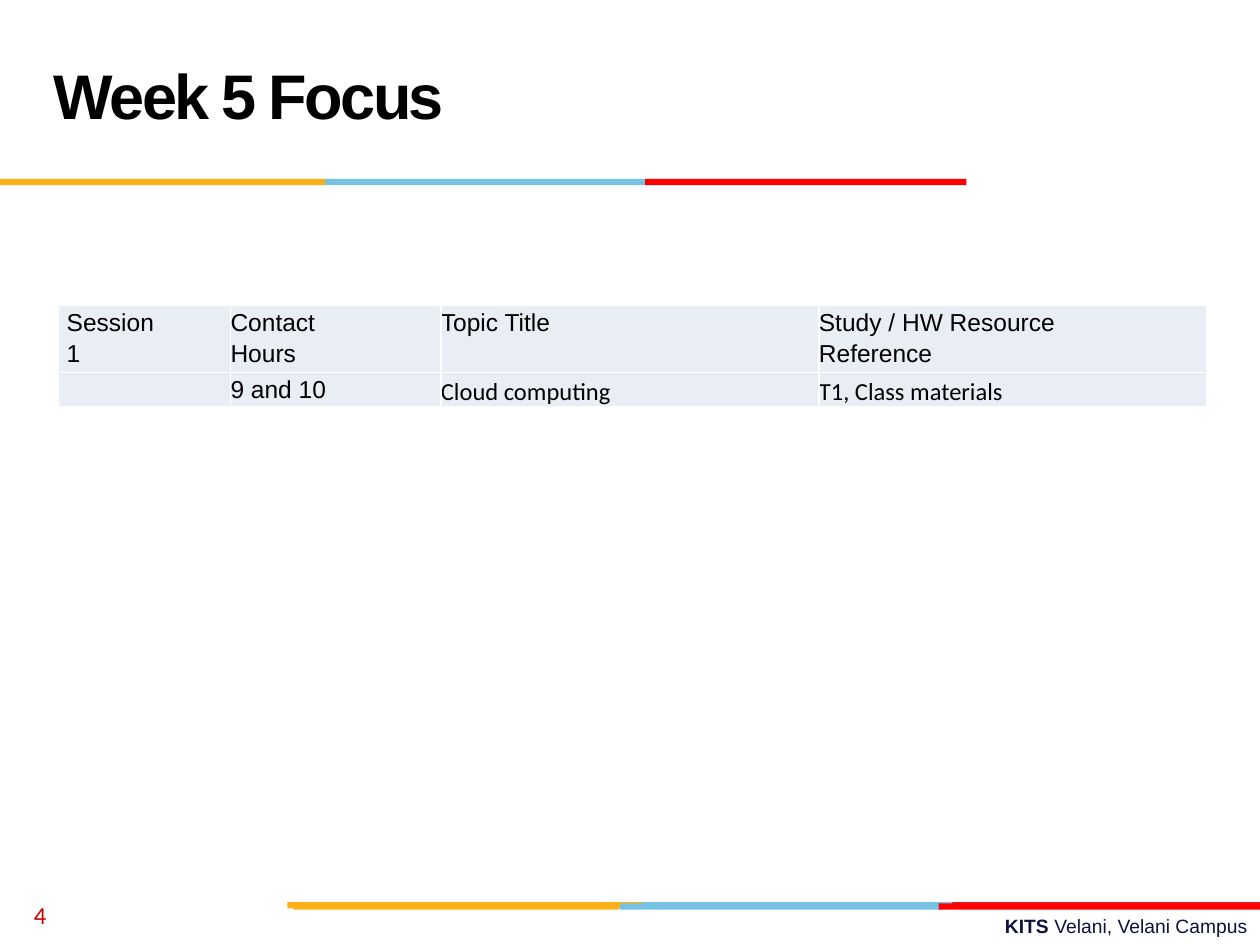
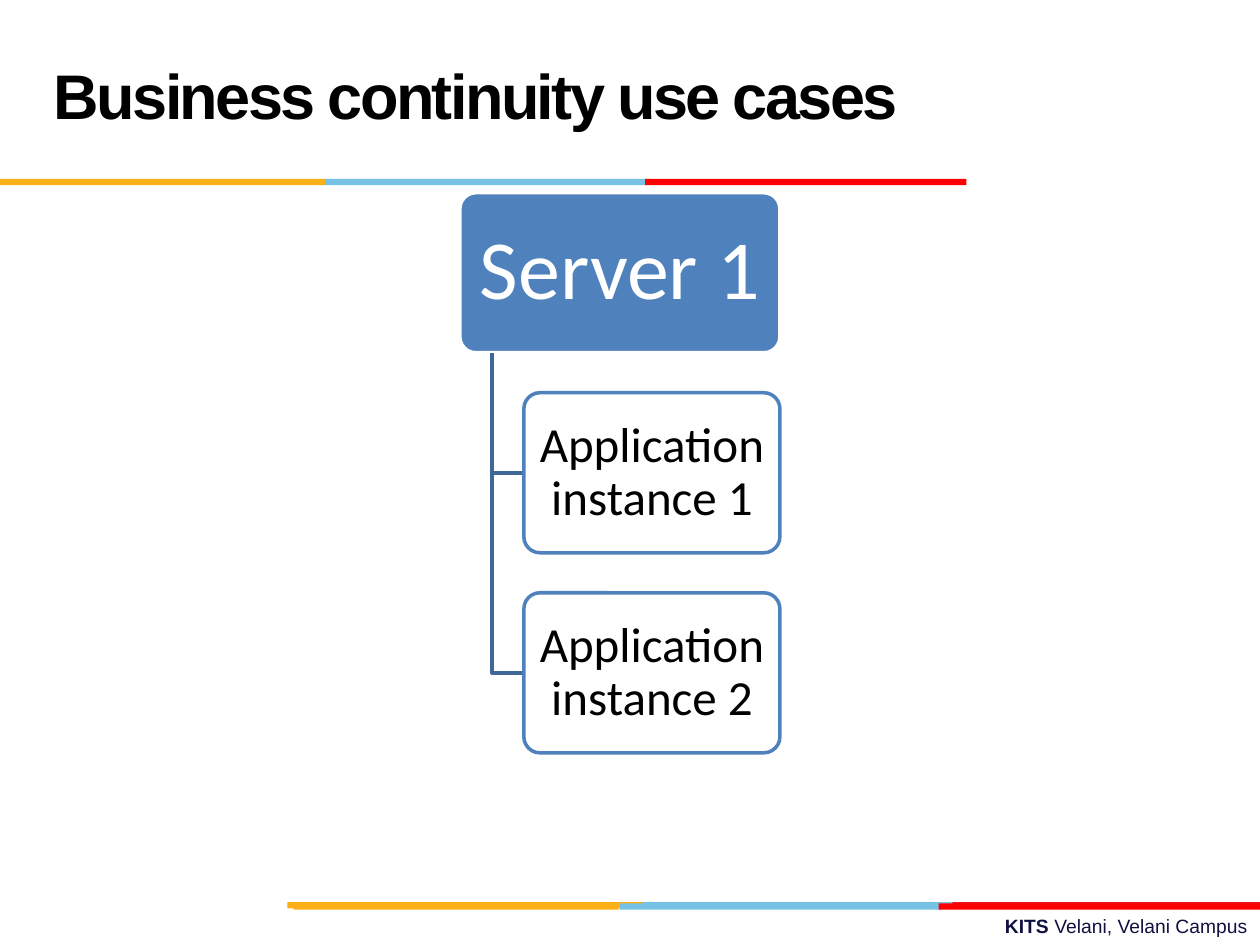
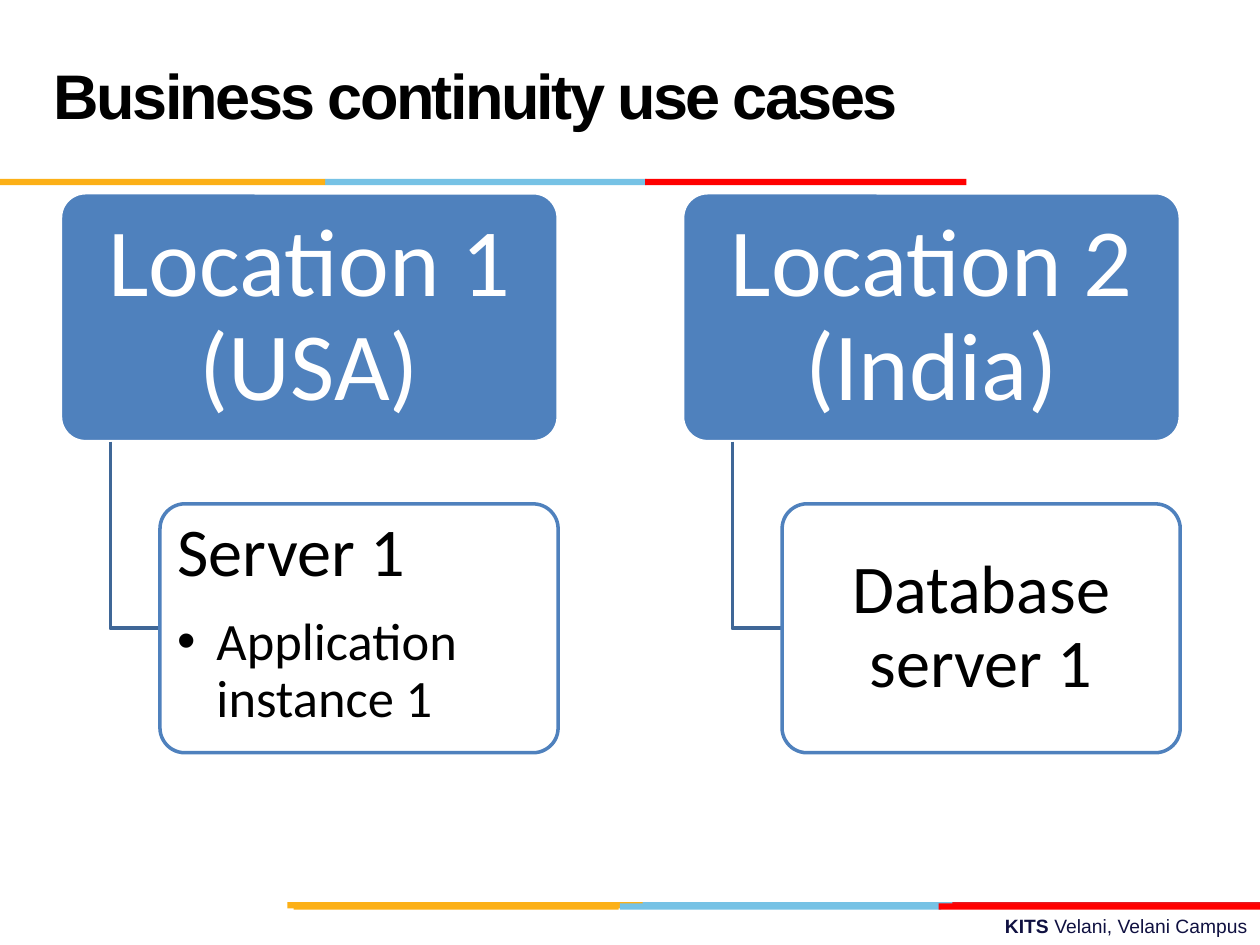
from lxml import etree
from pptx import Presentation
from pptx.dml.color import RGBColor
from pptx.enum.shapes import MSO_SHAPE
from pptx.enum.text import MSO_ANCHOR, PP_ALIGN
from pptx.oxml.ns import qn
from pptx.util import Inches, Pt

RECTANGLE = MSO_SHAPE.RECTANGLE
ROUNDED = MSO_SHAPE.ROUNDED_RECTANGLE
LEFT, CENTER, RIGHT = PP_ALIGN.LEFT, PP_ALIGN.CENTER, PP_ALIGN.RIGHT
TOP, MIDDLE = MSO_ANCHOR.TOP, MSO_ANCHOR.MIDDLE

BLACK = RGBColor(0x00, 0x00, 0x00)
WHITE = RGBColor(0xFF, 0xFF, 0xFF)
NAVY = RGBColor(0x10, 0x11, 0x41)
DARK_RED = RGBColor(0xC0, 0x00, 0x00)
SKY = RGBColor(0x76, 0xC2, 0xE5)
CRIMSON = RGBColor(0xE3, 0x1C, 0x24)
RED = RGBColor(0xFF, 0x00, 0x00)
AMBER = RGBColor(0xFC, 0xB0, 0x17)
NODE_BLUE = RGBColor(0x4F, 0x81, 0xBD)
BRANCH_BLUE = RGBColor(0x3F, 0x67, 0x97)
CELL_GREY = RGBColor(0xE9, 0xED, 0xF4)

BANDS = [
    (5.06, 7.16, 2.55, SKY), (7.56, 7.16, 2.44, CRIMSON), (2.28, 7.16, 2.82, AMBER),
    (4.92, 7.17, 2.55, SKY), (2.33, 7.17, 2.58, AMBER), (7.45, 7.17, 2.55, RED),
    (2.58, 1.42, 2.55, SKY), (0, 1.42, 2.58, AMBER), (5.12, 1.42, 2.55, RED),
]
BAND_HEIGHT = 0.05
TREE_TOP = 1.53


class Deck:
    """Holds the deck style and the slide being filled."""

    def __init__(self):
        self.presentation = Presentation()
        self.presentation.slide_width = Inches(10)
        self.presentation.slide_height = Inches(7.5)
        self.slide = None

    def add_slide(self, title):
        """Start a slide with its footer, bands and title."""
        self.slide = self.presentation.slides.add_slide(self.presentation.slide_layouts[6])
        footer = self.add_text((3.58, 7.21, 6.42, 0.29), TOP)
        footer.alignment = RIGHT
        self.add_run(footer, "KITS ", name="Arial", size=Pt(11), color=NAVY, bold=True)
        self.add_run(footer, "Velani, Velani Campus", name="Arial", size=Pt(11), color=NAVY)
        for left, top, width, color in BANDS:
            self.add_box(RECTANGLE, (left, top, width, BAND_HEIGHT), color)
        heading = self.add_text((0.33, 0.17, 6.92, 1.25), MIDDLE)
        heading.line_spacing = Pt(36)
        run = self.add_run(heading, title, name="Arial", size=Pt(36), color=BLACK, bold=True)
        run.font._element.set("spc", "-150")

    def add_run(self, paragraph, text, color, **formats):
        """Append a formatted run to a paragraph."""
        run = paragraph.add_run()
        run.text = text
        run.font.color.rgb = color
        for key, value in formats.items():
            setattr(run.font, key, value)
        return run

    def add_text(self, place, anchor):
        """Add a text box and return its paragraph."""
        frame = self.slide.shapes.add_textbox(*map(Inches, place)).text_frame
        frame.word_wrap = True
        frame.vertical_anchor = anchor
        return frame.paragraphs[0]

    def add_page_number(self, number):
        """Add the page number at the lower left."""
        paragraph = self.add_text((0.17, 7.06, 2.33, 0.4), MIDDLE)
        self.add_run(paragraph, number, name="Calibri", size=Pt(14), color=DARK_RED)

    def add_box(self, kind, place, fill, line=None):
        """Add a filled preset shape."""
        shape = self.slide.shapes.add_shape(kind, *map(Inches, place))
        shape.shadow.inherit = False
        shape.fill.solid()
        shape.fill.fore_color.rgb = fill
        if line is None:
            shape.line.fill.background()
        else:
            shape.line.color.rgb = line
            shape.line.width = Pt(2)
        return shape

    def add_node(self, place, texts, size, fill, line, color):
        """Add a rounded node; texts after the first become bullets."""
        shape = self.add_box(ROUNDED, place, fill, line)
        shape.adjustments[0] = 0.1
        frame = shape.text_frame
        side = Inches(size / 480)
        end = Inches(size / 720)
        formats = {"word_wrap": True, "vertical_anchor": TOP if len(texts) > 1 else MIDDLE,
                   "margin_left": side, "margin_right": side,
                   "margin_top": end, "margin_bottom": end}
        for key, value in formats.items():
            setattr(frame, key, value)
        for index, text in enumerate(texts):
            paragraph = frame.add_paragraph() if index else frame.paragraphs[0]
            paragraph.alignment = LEFT if len(texts) > 1 else CENTER
            paragraph.line_spacing = 0.9
            if index:
                paragraph.space_before = Pt(size * 0.35)
                self.add_bullet(paragraph)
            self.add_run(paragraph, text, name="Calibri", color=color,
                         size=Pt(30 if index else size))

    def add_bullet(self, paragraph):
        """Give a paragraph a hanging bullet."""
        properties = paragraph._p.get_or_add_pPr()
        properties.set("marL", str(Inches(0.31)))
        properties.set("indent", str(Inches(-0.31)))
        etree.SubElement(properties, qn("a:buFont")).set("typeface", "Arial")
        etree.SubElement(properties, qn("a:buChar")).set("char", "•")

    def add_branch(self, left, top, right, bottom):
        """Add an elbow line going down, then right."""
        builder = self.slide.shapes.build_freeform(Inches(left), Inches(top))
        builder.add_line_segments(
            [(Inches(left), Inches(bottom)), (Inches(right), Inches(bottom))], close=False)
        shape = builder.convert_to_shape()
        shape.shadow.inherit = False
        shape.fill.background()
        shape.line.color.rgb = BRANCH_BLUE
        shape.line.width = Pt(2)

    def add_tree(self, left, width, head, head_size, children, child_size):
        """Add a head node with its children hanging below."""
        height = width / 2
        self.add_node((left, TREE_TOP, width, height), [head], head_size,
                      NODE_BLUE, WHITE, WHITE)
        child_left = left + width * 0.2
        for index, texts in enumerate(children, 1):
            top = TREE_TOP + index * height * 1.25
            self.add_branch(left + width * 0.1, TREE_TOP + height, child_left, top + height / 2)
            self.add_node((child_left, top, width * 0.8, height), texts, child_size,
                          WHITE, NODE_BLUE, BLACK)

    def add_table(self, left, top, widths, heights, rows):
        """Add a plain table whose first row is narrow-set."""
        table = self.slide.shapes.add_table(
            len(rows), len(widths), Inches(left), Inches(top),
            Inches(sum(widths)), Inches(sum(heights))).table
        table.first_row = table.horz_banding = False
        for column, width in zip(table.columns, widths):
            column.width = Inches(width)
        for row, height in zip(table.rows, heights):
            row.height = Inches(height)
        for row_index, row in enumerate(rows):
            for column_index, (text, font) in enumerate(row):
                self.fill_cell(table.cell(row_index, column_index), text, font,
                               0 if column_index else 0.07, 0 if row_index else 0.55)

    def fill_cell(self, cell, text, font, margin_left, margin_right):
        """Set the text, margins, borders and fill of a cell."""
        formats = {"margin_left": Inches(margin_left), "margin_right": Inches(margin_right),
                   "margin_top": 0, "margin_bottom": 0}
        for key, value in formats.items():
            setattr(cell, key, value)
        properties = cell._tc.get_or_add_tcPr()
        for side in ("a:lnL", "a:lnR", "a:lnT", "a:lnB"):
            border = etree.SubElement(properties, qn(side), w=str(Pt(1)))
            fill = etree.SubElement(border, qn("a:solidFill"))
            etree.SubElement(fill, qn("a:srgbClr"), val=str(WHITE))
        cell.fill.solid()
        cell.fill.fore_color.rgb = CELL_GREY
        paragraph = cell.text_frame.paragraphs[0]
        paragraph.line_spacing = 1.15
        if text:
            self.add_run(paragraph, text, name=font, size=Pt(14), color=BLACK)
        else:
            paragraph._p.get_or_add_endParaRPr().set("sz", "1400")


def main():
    """Build the three slides."""
    deck = Deck()

    deck.add_slide("Week 5 Focus")
    deck.add_page_number("4")
    headers = ["Session 1", "Contact Hours", "Topic Title", "Study / HW Resource Reference"]
    deck.add_table(0.46, 2.42, [1.37, 1.67, 3, 3.08], [0.53, 0.26], [
        [(header, "Arial") for header in headers],
        [("", "Arial"), ("9 and 10", "Arial"),
         ("Cloud computing", "Calibri"), ("T1, Class materials", "Calibri")],
    ])

    deck.add_slide("Business continuity use cases")
    deck.add_tree(3.65, 2.54, "Server 1", 48,
                  [["Application instance 1"], ["Application instance 2"]], 28)

    deck.add_slide("Business continuity use cases")
    locations = [("Location 1 (USA)", ["Server 1", "Application instance 1"]),
                 ("Location 2 (India)", ["Database server 1"])]
    width = 3.95
    for index, (location, server) in enumerate(locations):
        deck.add_tree(0.48 + index * width * 1.25, width, location, 55, [server], 39)

    deck.presentation.save("out.pptx")


if __name__ == "__main__":
    main()
